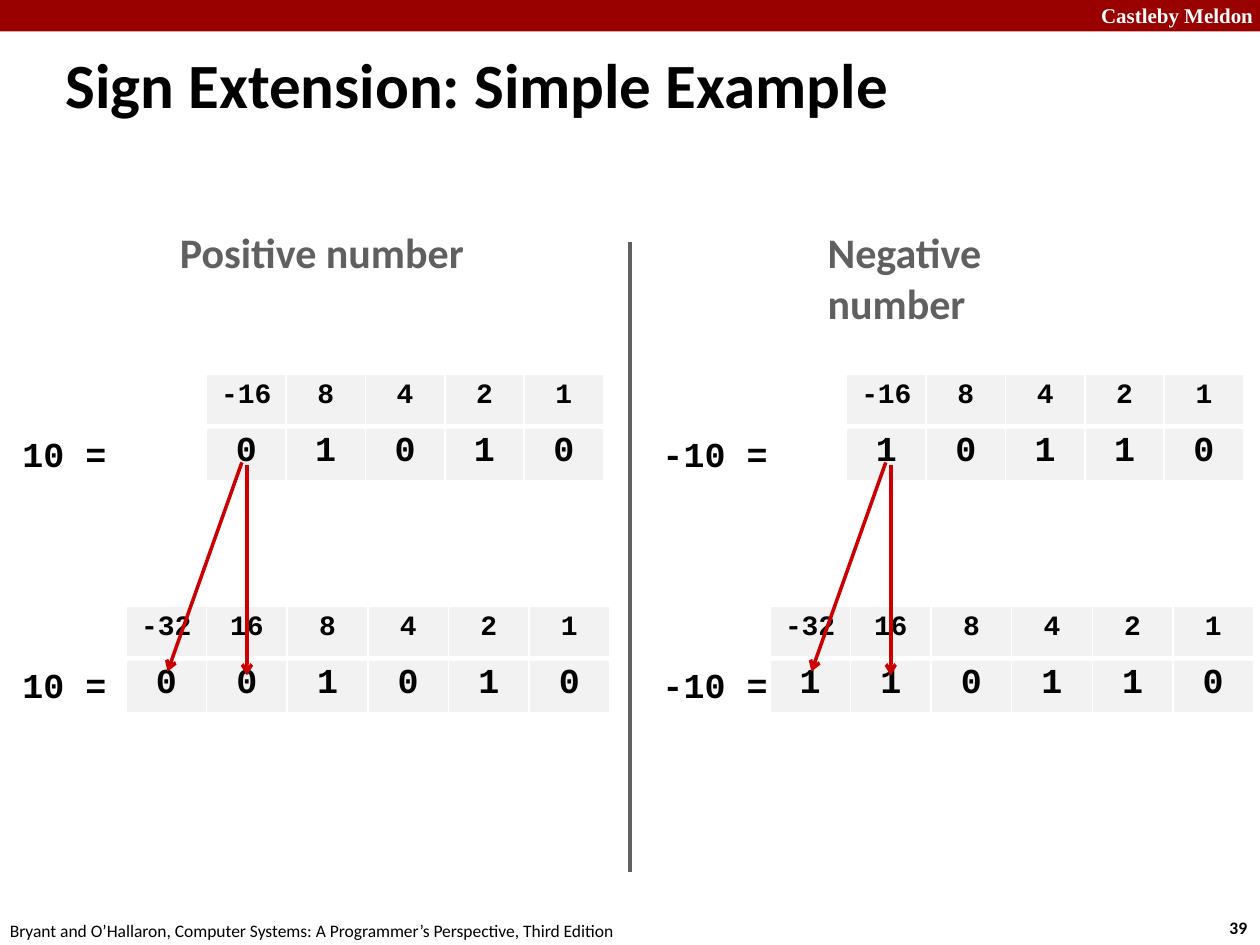
import dataclasses

import pptx
import pptx.dml.color
import pptx.enum.shapes
import pptx.enum.text
import pptx.oxml
import pptx.oxml.ns
import pptx.util

Inches, Pt = pptx.util.Inches, pptx.util.Pt
PP_ALIGN = pptx.enum.text.PP_ALIGN
ANCHOR = pptx.enum.text.MSO_ANCHOR


@dataclasses.dataclass(frozen=True)
class Theme:
    banner: str = "990000"
    black: str = "000000"
    white: str = "FFFFFF"
    gray: str = "606060"
    cell: str = "F2F2F2"
    arrow: str = "CC0000"
    sans: str = "Calibri"
    mono: str = "Courier New"
    serif: str = "Times New Roman"
    title: int = 36
    heading: int = 24
    digit: int = 20
    weight: int = 16
    brand: int = 12
    footer: int = 10


THEME = Theme()


def rgb(value):
    return pptx.dml.color.RGBColor.from_string(value)


def write_text(tf, text, size, font=THEME.sans, color=THEME.black, bold=True,
               align=PP_ALIGN.LEFT):
    p = tf.paragraphs[0]
    p.alignment = align
    r = p.add_run()
    r.text = text
    r.font.size, r.font.name, r.font.bold = Pt(size), font, bold
    r.font.color.rgb = rgb(color)


def add_label(s, box, text, size, **style):
    tf = s.shapes.add_textbox(*map(Inches, box)).text_frame
    tf.word_wrap = False
    write_text(tf, text, size, **style)


def add_line(s, start, end, color, arrow=False):
    line = s.shapes.add_connector(pptx.enum.shapes.MSO_CONNECTOR.STRAIGHT,
                                  *map(Inches, start + end))
    line.line.color.rgb = rgb(color)
    line.line.width = Pt(2)
    if arrow:
        pptx.oxml.ns.qn("a:tailEnd")
        line.line._get_or_add_ln().append(pptx.oxml.parse_xml(
            f'<a:tailEnd {pptx.oxml.ns.nsdecls("a")} type="arrow"/>'))
    line._element.spPr.append(pptx.oxml.parse_xml(
        f'<a:effectLst {pptx.oxml.ns.nsdecls("a")}/>'))


def set_borders(cell, widths):
    """Widths in points, in the order left, right, top, bottom."""
    tcPr = cell._tc.get_or_add_tcPr()
    for i, (side, width) in enumerate(zip("LRTB", widths)):
        tcPr.insert(i, pptx.oxml.parse_xml(
            f'<a:ln{side} {pptx.oxml.ns.nsdecls("a")} w="{Pt(width)}">'
            f'<a:solidFill><a:srgbClr val="{THEME.white}"/></a:solidFill>'
            f'</a:ln{side}>'))


def add_bit_table(s, left, top, col_width, bits):
    """Place weights above bits; the highest weight is negative."""
    n = len(bits)
    weights = [str(2 ** i) for i in reversed(range(n))]
    weights[0] = "-" + weights[0]
    row_height = 0.415
    table = s.shapes.add_table(2, n, Inches(left), Inches(top),
                               Inches(n * col_width), Inches(2 * row_height)).table
    for col in table.columns:
        col.width = Inches(col_width)
    rows = ((weights, THEME.weight, (1, 1, 1, 3)),
            (bits, THEME.digit, (1, 1, 3, 1)))
    for i, (values, size, borders) in enumerate(rows):
        table.rows[i].height = Inches(row_height)
        for j, value in enumerate(values):
            cell = table.cell(i, j)
            cell.fill.solid()
            cell.fill.fore_color.rgb = rgb(THEME.cell)
            set_borders(cell, borders)
            write_text(cell.text_frame, value, size, font=THEME.mono,
                       align=PP_ALIGN.CENTER)


def add_panel(s, left, top, heading, heading_x, number, bits, extended_x):
    """One half: a number, and the same number with its sign bit repeated."""
    add_label(s, (left + heading_x, top, 2.55, 0.5), heading, THEME.heading,
              color=THEME.gray)

    # Five-bit and six-bit forms
    wide_left = left + extended_x
    forms = ((left + 1.64, 1.22, 0.63, bits),
             (wide_left, 3.06, 0.64, bits[0] + bits))
    for x, y, col_width, digits in forms:
        add_label(s, (left + 0.08, top + y + 0.41, 1.2, 0.44), f"{number} =",
                  THEME.digit, font=THEME.mono)
        add_bit_table(s, x, top + y, col_width, digits)

    # Sign bit copied to the two leading places
    for x1, y1, x2, y2 in ((0.96, 1.94, 0.96, 3.61), (0.92, 1.92, 0.33, 3.58)):
        add_line(s, (wide_left + x1, top + y1), (wide_left + x2, top + y2),
                 THEME.arrow, arrow=True)


def add_frame(s, width, height):
    """Banner at the top, footer at the bottom."""
    sp = s.shapes.add_shape(pptx.enum.shapes.MSO_SHAPE.RECTANGLE, 0, 0,
                            Inches(width), Inches(0.25))
    sp.shadow.inherit = False
    sp.fill.solid()
    sp.fill.fore_color.rgb = rgb(THEME.banner)
    sp.line.fill.background()
    add_label(s, (width - 1.36, -0.03, 1.43, 0.3), "Castleby Meldon", THEME.brand,
              font=THEME.serif, color=THEME.white)
    add_label(s, (width - 0.34, height - 0.27, 0.37, 0.27), "39", THEME.footer)
    add_label(s, (-0.02, height - 0.25, 5.08, 0.27),
              "Bryant and O’Hallaron, Computer Systems: "
              "A Programmer’s Perspective, Third Edition",
              THEME.footer, bold=False)


def add_title(s, box, text):
    sp = s.shapes.title
    sp.left, sp.top, sp.width, sp.height = map(Inches, box)
    tf = sp.text_frame
    tf.vertical_anchor = ANCHOR.MIDDLE
    tf.auto_size = pptx.enum.text.MSO_AUTO_SIZE.NONE
    write_text(tf, text, THEME.title)


def main():
    prs = pptx.Presentation()
    prs.slide_width, prs.slide_height = Inches(10), Inches(7.5)
    s = prs.slides.add_slide(prs.slide_layouts[5])
    add_frame(s, 10, 7.5)
    add_title(s, (0.42, 0.35, 9.58, 0.63), "Sign Extension: Simple Example")
    add_panel(s, 0, 1.75, "Positive number", 1.33, "10", "01010", 1.0)
    add_panel(s, 5.08, 1.75, "Negative number", 1.39, "-10", "10110", 1.03)
    add_line(s, (5, 1.92), (5, 6.92), THEME.gray)
    prs.save("out.pptx")


if __name__ == "__main__":
    main()
